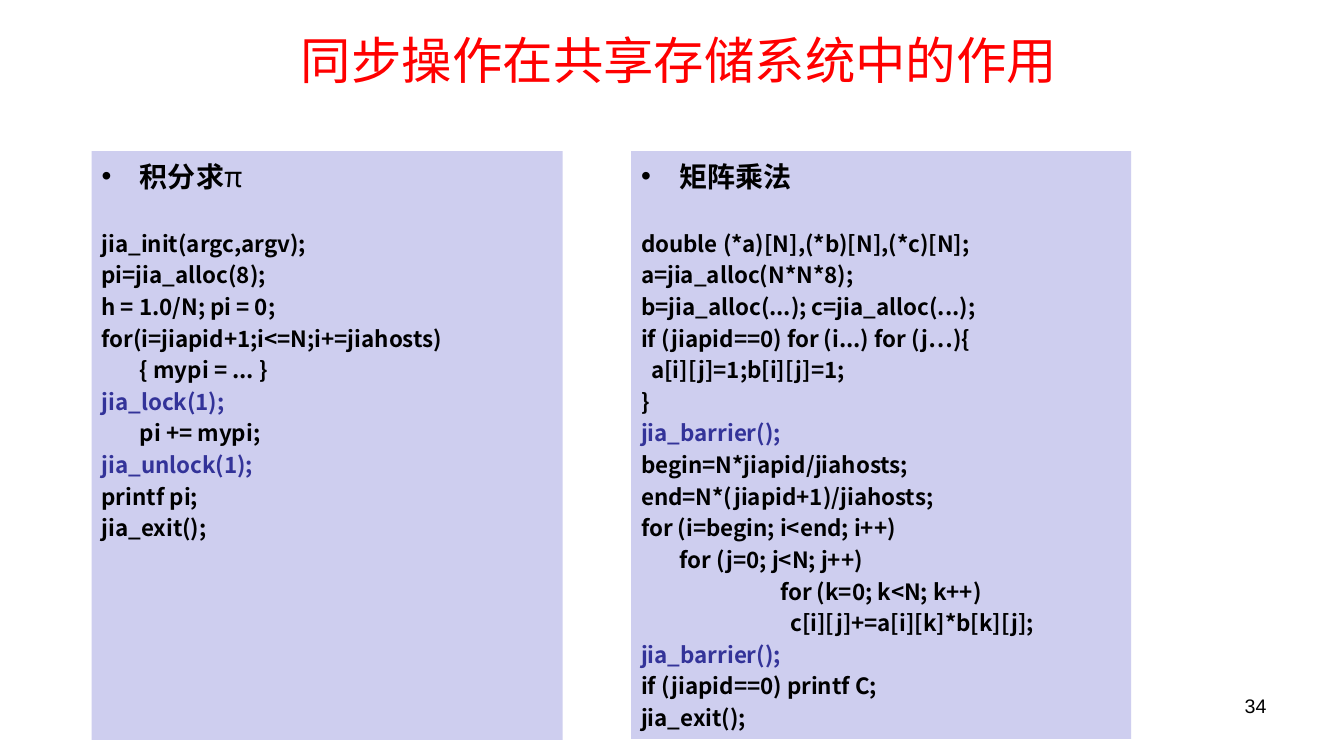
from dataclasses import dataclass

from lxml.etree import SubElement
from pptx import Presentation
from pptx.dml.color import RGBColor
from pptx.enum.shapes import MSO_SHAPE as Preset
from pptx.enum.text import MSO_ANCHOR as Anchor, PP_ALIGN as Align
from pptx.oxml.ns import qn
from pptx.slide import Slide
from pptx.text.text import Font, TextFrame
from pptx.util import Emu, Pt

PX = 9144  # 100 px to the inch
COLOURS = {"title": "FF0000", "text": "000000", "sync": "333399", "panel": "CECEEF"}
CODE_FONT = "Noto Sans CJK SC"
HANGING = 38
TAB_STEP = 100
LINE_SPACING = 1.1
LINE_GAP, CODE_GAP = 1.5, 24.3  # points


@dataclass(frozen=True)
class Box:
    left: int
    top: int
    width: int
    height: int

    def emu(self) -> tuple[Emu, ...]:
        return tuple(Emu(side * PX) for side in (self.left, self.top, self.width, self.height))


@dataclass(frozen=True)
class Label:
    box: Box
    text: str
    size: int
    colour: str
    align: Align
    anchor: Anchor


@dataclass(frozen=True)
class Panel:
    box: Box
    heading: str
    heading_font: str
    symbol: str  # set after the heading in regular weight
    code: str


LABELS = [
    Label(Box(955, 683, 311, 52), "34", 14, "text", Align.RIGHT, Anchor.TOP),
    Label(Box(153, 0, 1041, 117), "同步操作在共享存储系统中的作用", 36, "title",
          Align.CENTER, Anchor.MIDDLE),
]

PANELS = [
    Panel(Box(91, 150, 467, 584), "积分求", CODE_FONT, "π", """\
jia_init(argc,argv);
pi=jia_alloc(8);
h = 1.0/N; pi = 0;
for(i=jiapid+1;i<=N;i+=jiahosts)
\t{ mypi = ... }
jia_lock(1);
\tpi += mypi;
jia_unlock(1);
printf pi;
jia_exit();"""),
    Panel(Box(626, 150, 496, 583), "矩阵乘法", "Times New Roman", "", """\
double (*a)[N],(*b)[N],(*c)[N];
a=jia_alloc(N*N*8);
b=jia_alloc(...); c=jia_alloc(...);
if (jiapid==0) for (i...) for (j…){
  a[i][j]=1;b[i][j]=1;
}
jia_barrier();
begin=N*jiapid/jiahosts;
end=N*(jiapid+1)/jiahosts;
for (i=begin; i<end; i++)
\tfor (j=0; j<N; j++)
\t\tfor (k=0; k<N; k++)
\t\t  c[i][j]+=a[i][k]*b[k][j];
jia_barrier();
if (jiapid==0) printf C;
jia_exit();"""),
]
SYNC_CALLS = ("jia_lock", "jia_unlock", "jia_barrier")


def set_font(font: Font, name: str, size: int, colour: str, bold: bool = False) -> None:
    font.name, font.size, font.bold = name, Pt(size), bold
    font.color.rgb = RGBColor.from_string(COLOURS[colour])


def add_label(page: Slide, label: Label) -> None:
    frame = page.shapes.add_textbox(*label.box.emu()).text_frame
    frame.word_wrap = True
    frame.vertical_anchor = label.anchor
    para = frame.paragraphs[0]
    para.text, para.alignment = label.text, label.align
    set_font(para.font, "Arial", label.size, label.colour)


def add_line(frame: TextFrame, text: str, bullet: bool = False):
    """Add a left-aligned paragraph with a hanging indent."""
    para = frame.paragraphs[0] if bullet else frame.add_paragraph()
    para.alignment, para.line_spacing = Align.LEFT, LINE_SPACING
    if not bullet:
        para.space_before = Pt(LINE_GAP)
    properties = para._p.get_or_add_pPr()
    properties.set("marL", str(HANGING * PX))
    properties.set("indent", str(-HANGING * PX))
    properties.set("defTabSz", str(TAB_STEP * PX))
    if bullet:
        SubElement(properties, qn("a:buFont"), typeface="Arial")
        SubElement(properties, qn("a:buChar"), char="•")
    else:
        SubElement(properties, qn("a:buNone"))
    para.add_run().text = text
    return para


def add_panel(page: Slide, panel: Panel) -> None:
    shape = page.shapes.add_shape(Preset.RECTANGLE, *panel.box.emu())
    shape.shadow.inherit = False
    shape.fill.solid()
    shape.fill.fore_color.rgb = RGBColor.from_string(COLOURS["panel"])
    shape.line.fill.background()
    frame = shape.text_frame
    frame.word_wrap = True
    frame.vertical_anchor = Anchor.TOP

    heading = add_line(frame, panel.heading, bullet=True)
    set_font(heading.font, panel.heading_font, 20, "text", bold=True)
    if panel.symbol:
        heading.add_run().text = panel.symbol
        heading.runs[-1].font.bold = False

    for number, code in enumerate(panel.code.splitlines()):
        para = add_line(frame, code)
        if number == 0:
            para.space_before = Pt(CODE_GAP)
        colour = "sync" if code.startswith(SYNC_CALLS) else "text"
        set_font(para.font, CODE_FONT, 16, colour, bold=True)


def main() -> None:
    deck = Presentation()
    deck.slide_width, deck.slide_height = Emu(1333 * PX), Emu(750 * PX)
    page = deck.slides.add_slide(deck.slide_layouts[6])
    for label in LABELS:
        add_label(page, label)
    for panel in PANELS:
        add_panel(page, panel)
    deck.save("out.pptx")


if __name__ == "__main__":
    main()
